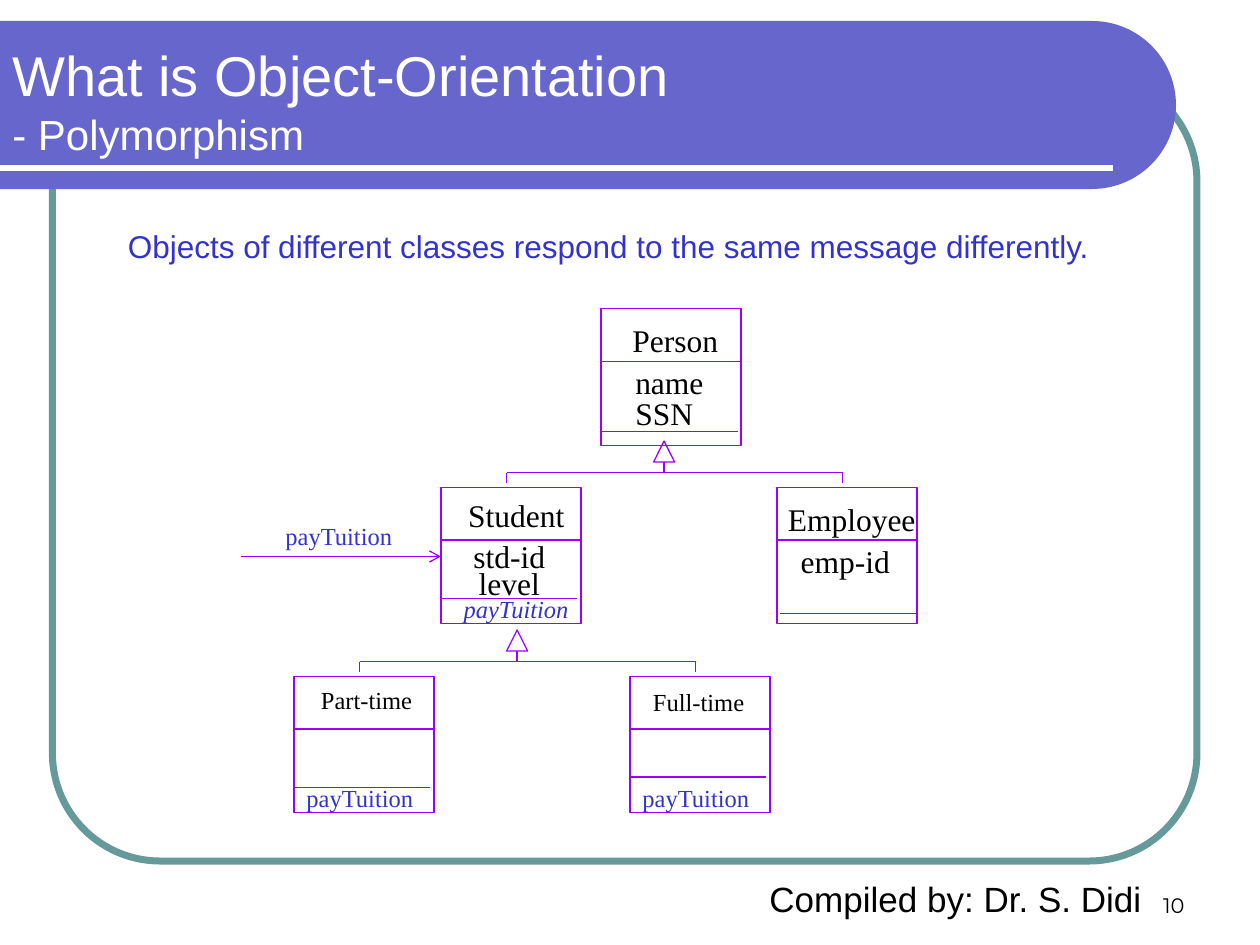
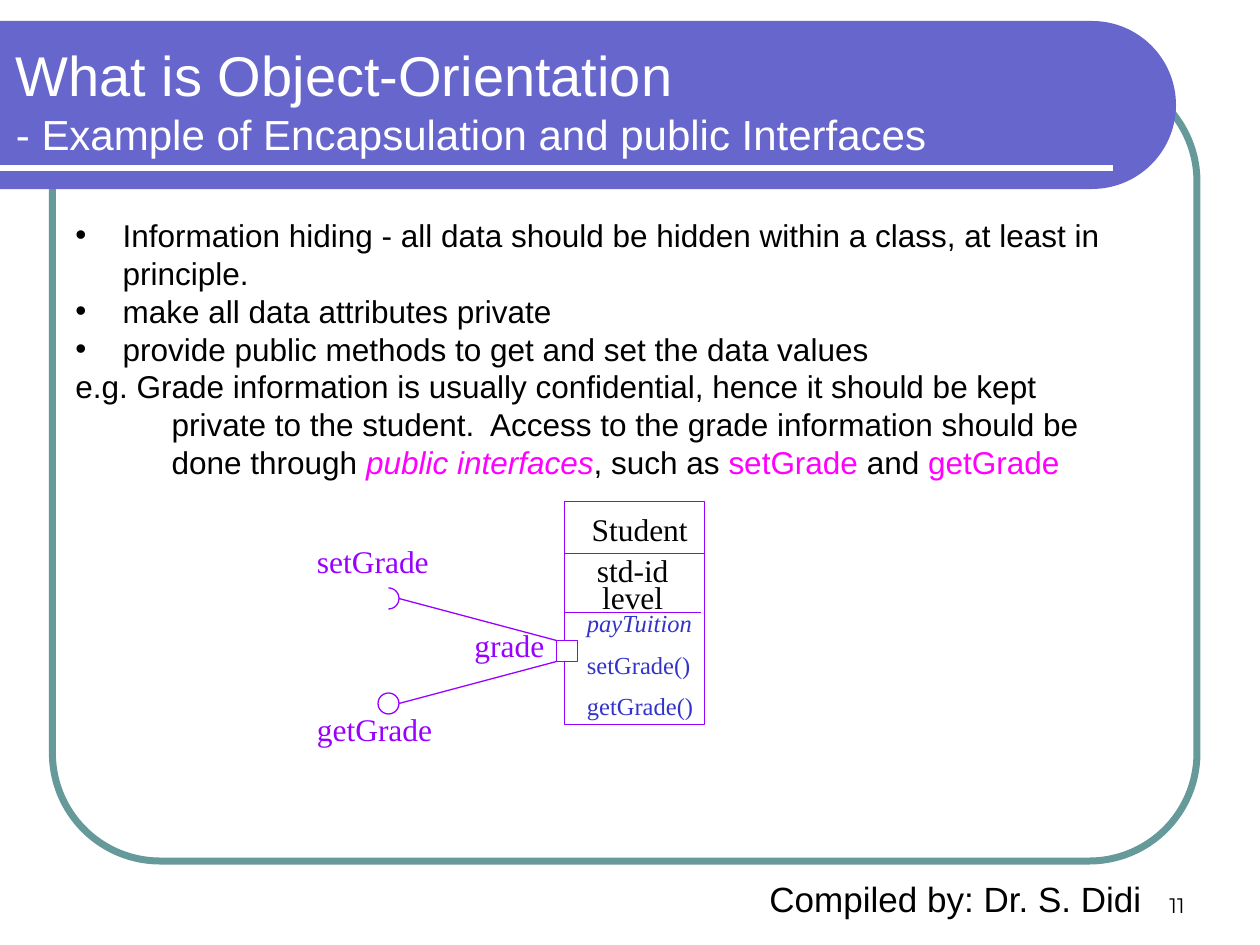
"""Build two slides on polymorphism and encapsulation with class diagrams."""
from dataclasses import dataclass
from math import cos, radians, sin

from lxml.etree import SubElement
from pptx import Presentation
from pptx.dml.color import RGBColor
from pptx.enum.shapes import MSO_CONNECTOR, MSO_SHAPE
from pptx.enum.text import MSO_ANCHOR, PP_ALIGN
from pptx.oxml.ns import qn
from pptx.util import Pt


@dataclass(frozen=True)
class Theme:
    band: str = "6666CC"
    frame: str = "669999"
    paper: str = "FFFFFF"
    ink: str = "000000"
    member: str = "3333CC"
    accent: str = "FF00FF"
    diagram: str = "9900FF"
    sans: str = "Arial"
    serif: str = "Times New Roman"
    number_font: str = "Montserrat"
    title: int = 32
    subtitle: int = 24
    footer: int = 20
    body: int = 18
    small: int = 14
    number: int = 12
    hairline: float = 0.75


THEME = Theme()

TITLE = "What is Object-Orientation"
AUTHOR = "Compiled by: Dr. S. Didi"
POLYMORPHISM = "Objects of different classes respond to the same message differently."

BULLETS = [
    "Information hiding - all data should be hidden within a class, at least in principle.",
    "make all data attributes private",
    "provide public methods to get and set the data values",
]
EXAMPLE = [
    (0, [("e.g. Grade information is usually confidential, hence it should be kept",)]),
    (55, [("private to the student.  Access to the grade information should be",)]),
    (55, [("done through ",), ("public interfaces", THEME.accent, True), (", such as ",),
          ("setGrade", THEME.accent), (" and ",), ("getGrade", THEME.accent)]),
]

STUDENT = {
    "name": ("Student", 43, 15.5),
    "attributes": [(["std-id", "level"], 39, 52.3)],
    "divider": (0, 63.5),
    "member_left": 5.8,
}
CLASSES = [
    {"at": (343.5, 176.5), "name": ("Person", 42.4, 18),
     "attributes": [(["name"], 39, 41.7), (["SSN"], 36, 59.7)], "divider": (0, 70)},
    {**STUDENT, "at": (252, 278.5), "members": [("payTuition", True)]},
    {"at": (444, 278.5), "name": ("Employee", 42.7, 18),
     "attributes": [(["emp-id"], 39, 42)], "divider": (2, 72)},
    {"at": (168, 386.5), "name": ("Part-time", 41.5, 17.4), "compact": True,
     "divider": (0, 63.5), "members": [("payTuition", False)]},
    {"at": (360, 386.5), "name": ("Full-time", 39.2, 18.9), "compact": True,
     "divider": (0, 57.5), "members": [("payTuition", False)]},
]
SIBLINGS = [(1, 2), (3, 4)]
GRADED_STUDENT = {
    **STUDENT, "at": (322.5, 286.5), "height": 127.5,
    "members": [("payTuition", True), ("setGrade()", False), ("getGrade()", False)],
}
PORT_LABELS = [("setGrade", 174, 306), ("grade", 264, 354), ("getGrade", 174, 402)]

CLASS_WIDTH, CLASS_HEIGHT = 80, 78
NAME_HEIGHT, MEMBER_TOP = 30, 57.4
LABEL_WIDTH = 96


def rgb(value):
    return RGBColor.from_string(value)


def points(*lengths):
    return [Pt(length) for length in lengths]


def add_text(slide, box, paragraphs, size, color=THEME.ink, font=THEME.serif,
             align=PP_ALIGN.LEFT, anchor=MSO_ANCHOR.TOP, spacing=None, gap=0):
    frame = slide.shapes.add_textbox(*points(*box)).text_frame
    frame.word_wrap = True
    frame.vertical_anchor = anchor
    for index, runs in enumerate(paragraphs):
        paragraph = frame.paragraphs[0] if index == 0 else frame.add_paragraph()
        paragraph.alignment = align
        if spacing:
            paragraph.line_spacing = spacing
        if index and gap:
            paragraph.space_before = Pt(gap)
        for words, run_color, italic in (complete(run, color) for run in runs):
            run = paragraph.add_run()
            run.text = words
            run.font.name = font
            run.font.size = Pt(size)
            run.font.color.rgb = rgb(run_color)
            run.font.italic = italic
    return frame


def complete(run, color):
    words, *style = run
    return words, style[0] if style else color, len(style) > 1 and style[1]


def finish(shape, fill=None, line=None, width=THEME.hairline):
    shape.shadow.inherit = False
    if fill:
        shape.fill.solid()
        shape.fill.fore_color.rgb = rgb(fill)
    else:
        shape.fill.background()
    if line:
        shape.line.color.rgb = rgb(line)
        shape.line.width = Pt(width)
    else:
        shape.line.fill.background()
    return shape


def add_outline(slide, preset, box, fill=None, line=THEME.diagram, width=THEME.hairline):
    return finish(slide.shapes.add_shape(preset, *points(*box)), fill, line, width)


def add_line(slide, start, end, color=THEME.diagram, width=THEME.hairline, arrow=False):
    connector = slide.shapes.add_connector(MSO_CONNECTOR.STRAIGHT, *points(*start, *end))
    connector.line.color.rgb = rgb(color)
    connector.line.width = Pt(width)
    properties = connector._element.spPr
    if arrow:
        SubElement(properties.get_or_add_ln(), qn("a:tailEnd"), type="arrow")
    SubElement(properties, qn("a:effectLst"))


def right_arc(x, y, radius, step=3):
    return [(x + radius * cos(radians(angle)), y + radius * sin(radians(angle)))
            for angle in range(-90, 91, step)]


def add_freeform(slide, vertices, close):
    start, *rest = [tuple(points(*vertex)) for vertex in vertices]
    builder = slide.shapes.build_freeform(*start)
    builder.add_line_segments(rest, close=close)
    return builder.convert_to_shape()


def add_base(deck, number, subtitle, title_left):
    slide = deck.slides.add_slide(deck.slide_layouts[6])
    frame = add_outline(slide, MSO_SHAPE.ROUNDED_RECTANGLE, (30, 42, 654, 450),
                        line=THEME.frame, width=4)
    frame.adjustments[0] = 0.137
    band = add_freeform(slide, [(0, 12), *right_arc(624, 60, 48), (0, 108)], True)
    finish(band, THEME.band)
    add_line(slide, (0, 96), (636, 96), THEME.paper, 3)
    heading = add_text(slide, (title_left, 18, 640, 78), [[(TITLE,)], [(subtitle,)]],
                       THEME.title, THEME.paper, THEME.sans, anchor=MSO_ANCHOR.MIDDLE)
    heading.paragraphs[1].runs[0].font.size = Pt(THEME.subtitle)
    add_text(slide, (516, 492, 168, 36), [[(str(number),)]], THEME.number,
             font=THEME.number_font, align=PP_ALIGN.RIGHT, anchor=MSO_ANCHOR.BOTTOM)
    add_text(slide, (432, 475, 228, 54), [[(AUTHOR,)]], THEME.footer,
             font=THEME.sans, align=PP_ALIGN.CENTER, anchor=MSO_ANCHOR.BOTTOM)
    return slide


def add_centred(slide, lines, x, y, size=THEME.body, tight=False):
    height = 30
    add_text(slide, (x - LABEL_WIDTH / 2, y - height / 2, LABEL_WIDTH, height),
             [[(line,)] for line in lines], size, align=PP_ALIGN.CENTER,
             anchor=MSO_ANCHOR.MIDDLE, spacing=0.3 if tight else None, gap=9.2)


def add_class(slide, entry):
    left, top = entry["at"]
    add_outline(slide, MSO_SHAPE.RECTANGLE,
                (left, top, CLASS_WIDTH, entry.get("height", CLASS_HEIGHT)))
    inset, depth = entry["divider"]
    add_line(slide, (left, top + NAME_HEIGHT), (left + CLASS_WIDTH, top + NAME_HEIGHT))
    add_line(slide, (left + inset, top + depth), (left + inset + 78, top + depth))

    compact = entry.get("compact", False)
    name, x, y = entry["name"]
    add_centred(slide, [name], left + x, top + y,
                THEME.small if compact else THEME.body, compact)
    for lines, x, y in entry.get("attributes", []):
        add_centred(slide, lines, left + x, top + y, tight=len(lines) > 1)
    members = entry.get("members", [])
    if members:
        add_text(slide, (left + entry.get("member_left", 0), top + MEMBER_TOP,
                         LABEL_WIDTH, 24 * len(members)),
                 [[(member, THEME.member, italic)] for member, italic in members],
                 THEME.small, gap=7)


def add_inheritance(slide, first, last):
    start, end = (CLASSES[child]["at"][0] + 37.5 for child in (first, last))
    bar = CLASSES[first]["at"][1] - 8.5
    stem = start + 90
    add_line(slide, (start, bar), (end, bar))
    for x in (start, end):
        add_line(slide, (x, bar), (x, bar + 6))
    add_line(slide, (stem, bar - 6), (stem, bar))
    add_outline(slide, MSO_SHAPE.ISOSCELES_TRIANGLE, (stem - 6, bar - 18, 12, 12))


def build_polymorphism(deck):
    slide = add_base(deck, 10, "- Polymorphism", 0)
    add_text(slide, (66, 126, 612, 29), [[(POLYMORPHISM,)]], THEME.body,
             THEME.member, THEME.sans)
    for entry in CLASSES:
        add_class(slide, entry)
    for first, last in SIBLINGS:
        add_inheritance(slide, first, last)
    add_line(slide, (138, 318), (252, 318), arrow=True)
    add_text(slide, (156, 294, LABEL_WIDTH, 24), [[("payTuition",)]],
             THEME.small, THEME.member)


def build_encapsulation(deck):
    slide = add_base(deck, 11, "- Example of Encapsulation and public Interfaces", 2)
    paragraphs = [[(bullet,)] for bullet in BULLETS] + [runs for _, runs in EXAMPLE]
    notes = add_text(slide, (36, 120, 672, 158), paragraphs, THEME.body, font=THEME.sans)
    indents = [27] * len(BULLETS) + [indent for indent, _ in EXAMPLE]
    for index, (paragraph, indent) in enumerate(zip(notes.paragraphs, indents)):
        properties = paragraph._p.get_or_add_pPr()
        properties.set("marL", str(Pt(indent)))
        if index < len(BULLETS):
            properties.set("indent", str(-Pt(indent)))
            SubElement(properties, qn("a:buFont"), typeface=THEME.sans)
            SubElement(properties, qn("a:buChar"), char="•")

    add_class(slide, GRADED_STUDENT)
    add_outline(slide, MSO_SHAPE.RECTANGLE, (318, 366, 12, 12), THEME.paper)
    add_line(slide, (318, 366), (228, 342))
    add_line(slide, (318, 378), (228, 402))
    add_outline(slide, MSO_SHAPE.OVAL, (216, 396, 12, 12))
    finish(add_freeform(slide, right_arc(222, 342, 6), False), line=THEME.diagram)
    for label, left, top in PORT_LABELS:
        add_text(slide, (left, top, LABEL_WIDTH, 29), [[(label,)]],
                 THEME.body, THEME.diagram)


def main():
    deck = Presentation()
    deck.slide_width, deck.slide_height = points(720, 540)
    build_polymorphism(deck)
    build_encapsulation(deck)
    deck.save("out.pptx")


if __name__ == "__main__":
    main()
